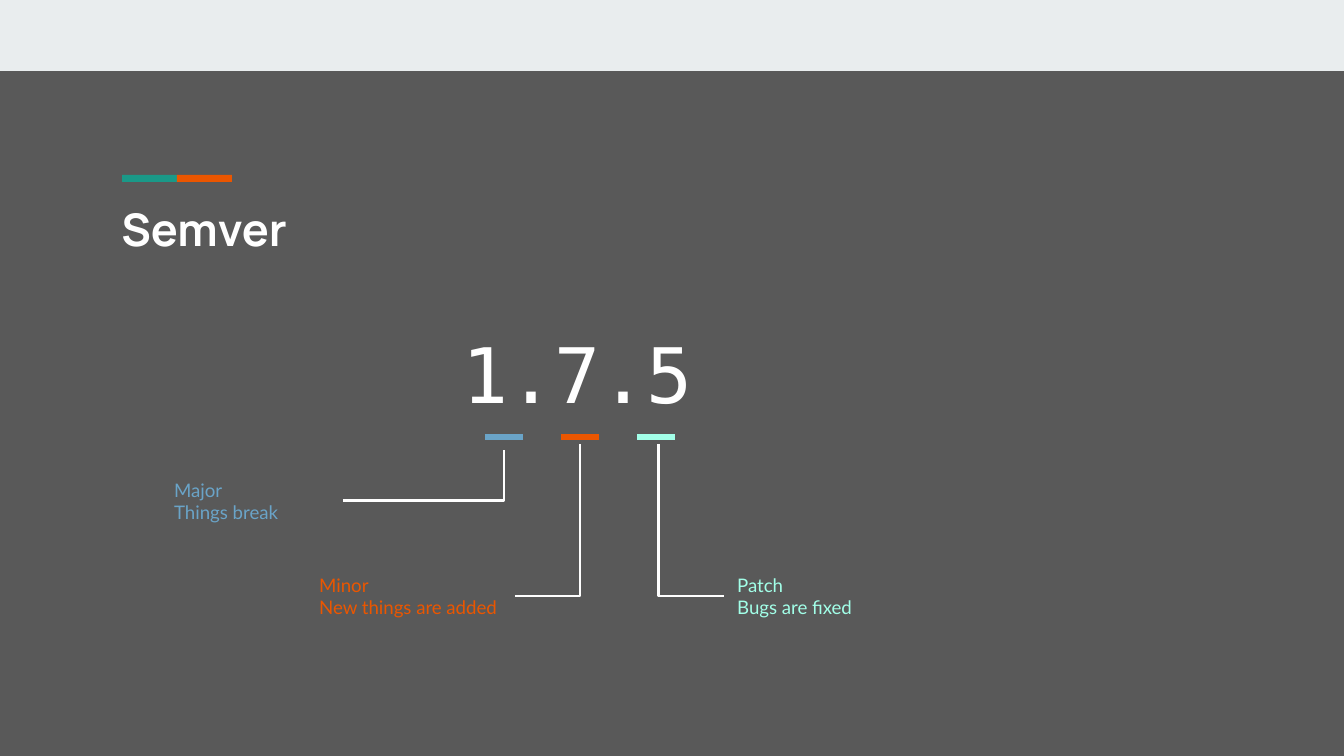
from lxml.etree import SubElement
from pptx import Presentation
from pptx.dml.color import RGBColor
from pptx.enum.shapes import MSO_CONNECTOR as Connector, MSO_SHAPE as Shape
from pptx.enum.text import MSO_ANCHOR as Anchor, PP_ALIGN as Align
from pptx.oxml.ns import qn
from pptx.util import Emu, Inches, Pt

BACKGROUND = RGBColor(0x59, 0x59, 0x59)
BAND = RGBColor(0xE9, 0xED, 0xEE)
WHITE = RGBColor(0xFF, 0xFF, 0xFF)
GREEN = RGBColor(0x1A, 0x99, 0x88)
ORANGE = RGBColor(0xEB, 0x56, 0x00)
BLUE = RGBColor(0x6A, 0xA4, 0xC8)
MINT = RGBColor(0xA2, 0xFF, 0xE8)

PX_PER_INCH = 134.4


def px(length):
    return Emu(round(length * 914400 / PX_PER_INCH))


def add_bar(slide, left, top, width, height, color):
    bar = slide.shapes.add_shape(
        Shape.RECTANGLE, px(left), px(top), px(width), px(height))
    bar.shadow.inherit = False
    bar.fill.solid()
    bar.fill.fore_color.rgb = color
    bar.line.fill.background()


def add_line(slide, kind, start, end, color, weight):
    line = slide.shapes.add_connector(kind, *map(px, start + end))
    line.line.color.rgb = color
    line.line.width = Pt(weight)
    SubElement(line._element.spPr, qn("a:effectLst"))
    return line


def add_elbow(slide, start, end):
    elbow = add_line(slide, Connector.ELBOW, start, end, WHITE, 1.5)
    guides = elbow._element.spPr.find(qn("a:prstGeom")).get_or_add_avLst()
    SubElement(guides, qn("a:gd"), name="adj1", fmla="val 100000")


def fill_text(shape, lines, font_name, size, color, align=Align.LEFT, bold=False):
    frame = shape.text_frame
    frame.word_wrap = True
    frame.vertical_anchor = Anchor.TOP
    frame.margin_left = frame.margin_right = Inches(0.1)
    frame.margin_top = frame.margin_bottom = Inches(0.1)
    for index, text in enumerate(lines):
        paragraph = frame.add_paragraph() if index else frame.paragraphs[0]
        paragraph.alignment = align
        run = paragraph.add_run()
        run.text = text
        run.font.name = font_name
        run.font.size = Pt(size)
        run.font.bold = bold
        run.font.color.rgb = color


def add_text(slide, left, top, width, height, *args, **options):
    box = slide.shapes.add_textbox(px(left), px(top), px(width), px(height))
    fill_text(box, *args, **options)


def add_header(slide, left, top, width):
    for index, color in enumerate((GREEN, ORANGE)):
        add_bar(slide, left + 14 + 55 * index, top, 55, 7, color)
    title = slide.shapes.title
    title.left, title.top = px(left), px(top + 19)
    title.width, title.height = px(width), px(79)
    fill_text(title, ["Semver"], "Manrope", 24.1, WHITE, bold=True)
    title.text_frame.paragraphs[0].line_spacing = 0.9


def add_version(slide, left, top, width):
    add_text(slide, left, top, width, 118, ["1.7.5"],
             "DejaVu Sans Mono", 41, WHITE, align=Align.CENTER)
    for index, color in enumerate((BLUE, ORANGE, MINT)):
        start = left + 142 + 76 * index
        add_line(slide, Connector.STRAIGHT, (start, top + 123),
                 (start + 38, top + 123), color, 3)


def add_part(slide, left, top, width, lines, color, start_x, end):
    add_text(slide, left, top, width, 71, lines, "Lato", 10, color)
    add_elbow(slide, (start_x, top + 36), end)


def main():
    presentation = Presentation()
    presentation.slide_width = px(1344)
    presentation.slide_height = px(756)
    slide = presentation.slides.add_slide(presentation.slide_layouts[5])
    slide.background.fill.solid()
    slide.background.fill.fore_color.rgb = BACKGROUND

    add_bar(slide, 0, 0, 1344, 71, BAND)
    add_header(slide, 108, 175, 1130)
    add_version(slide, 343, 314, 470)
    add_part(slide, 161, 465, 183, ["Major", "Things break"],
             BLUE, 343, (504, 450))
    add_part(slide, 306, 560, 210, ["Minor", "New things are added"],
             ORANGE, 515, (580, 444))
    add_part(slide, 724, 560, 210, ["Patch", "Bugs are fixed"],
             MINT, 724, (659, 444))
    presentation.save("out.pptx")


if __name__ == "__main__":
    main()
